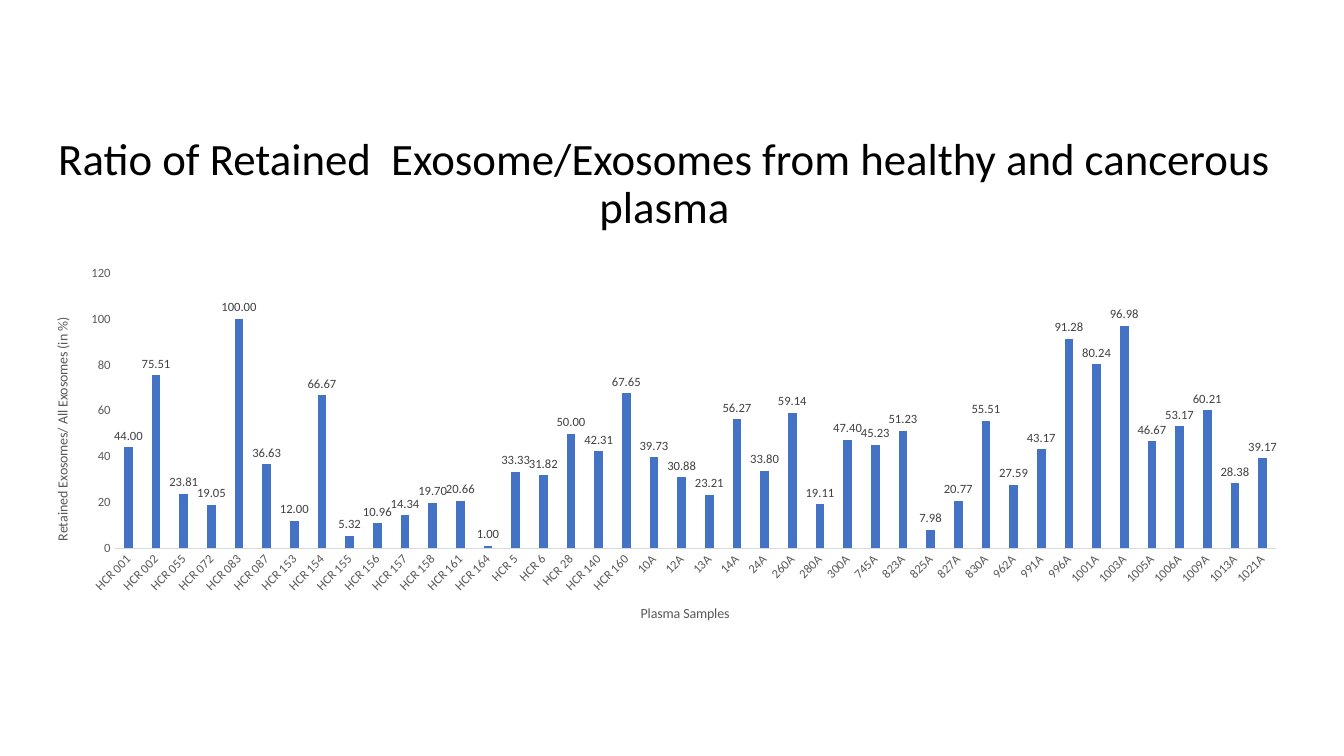
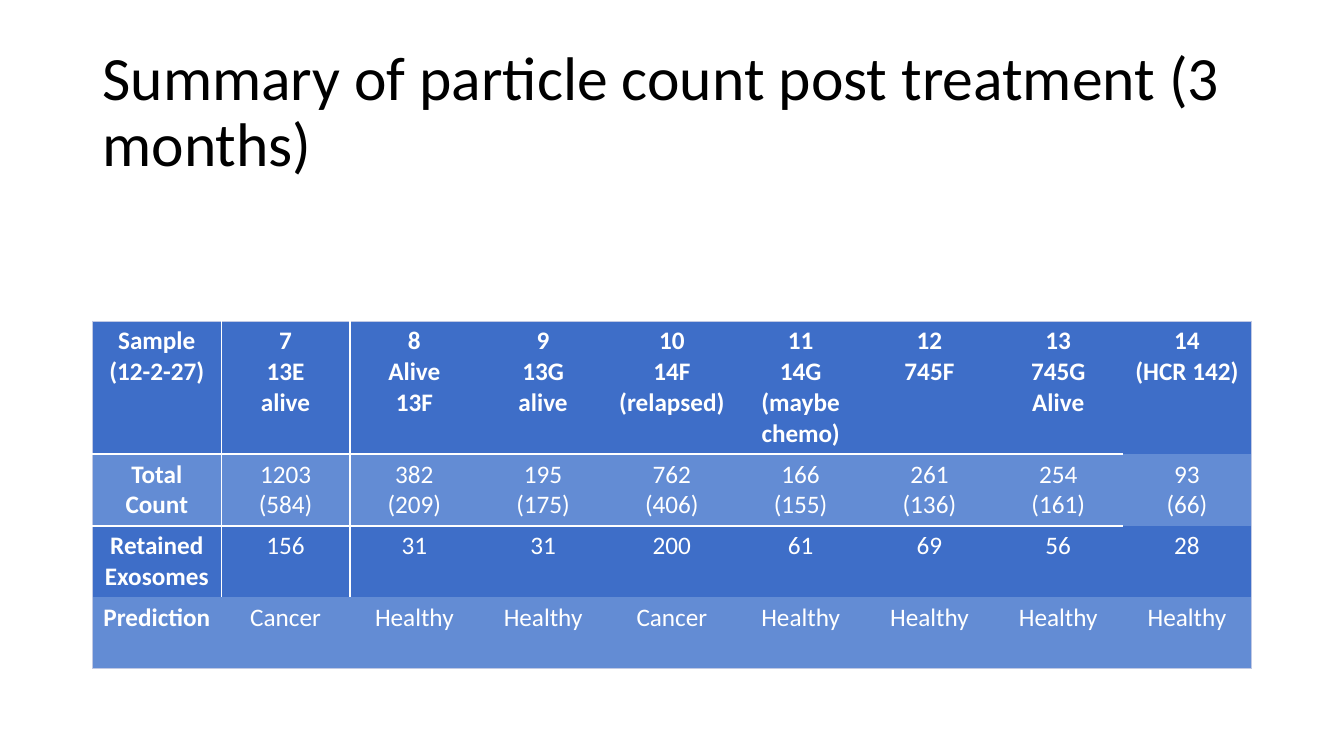
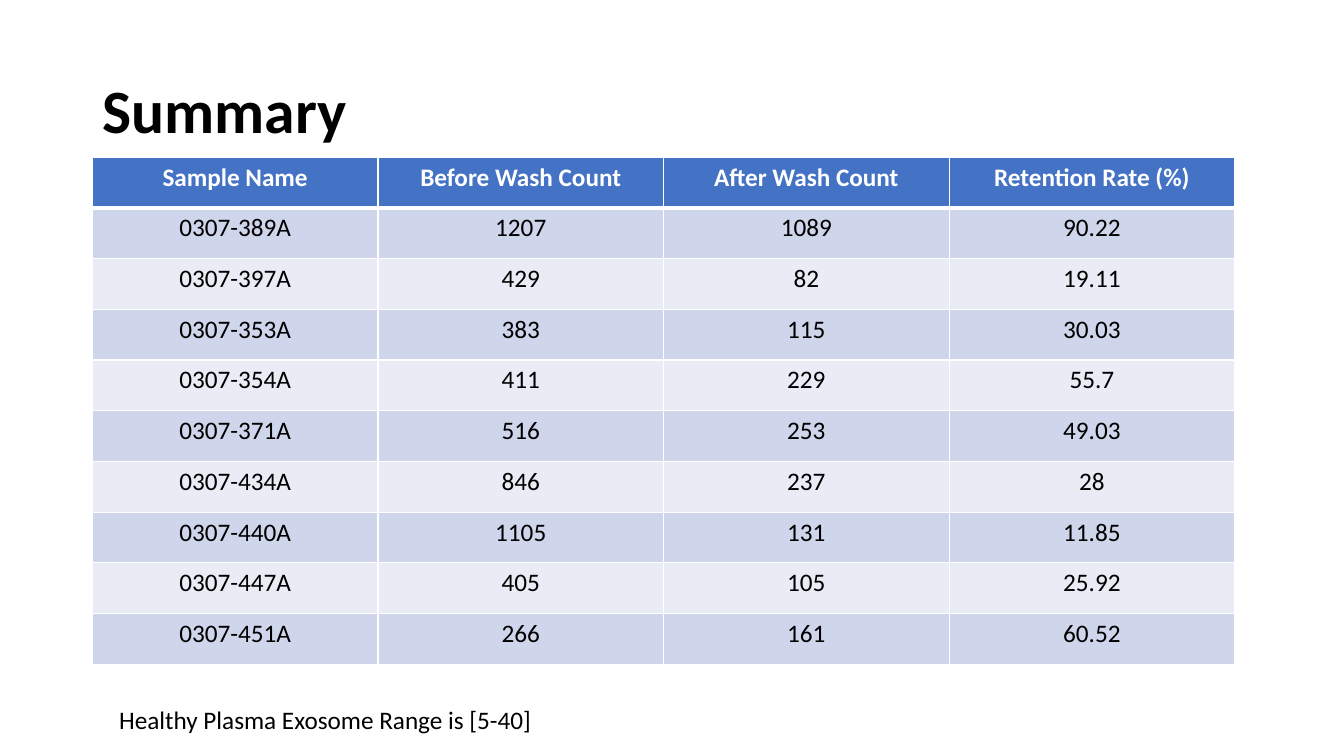
import pptx
import pptx.chart.data
import pptx.dml.color
import pptx.enum.chart
import pptx.enum.text
import pptx.oxml
import pptx.oxml.ns
import pptx.util

ALIGN = pptx.enum.text.PP_ALIGN
ANCHOR = pptx.enum.text.MSO_ANCHOR
qn = pptx.oxml.ns.qn

FONT = "Calibri"
COLORS = {
    "text": "000000", "white": "FFFFFF", "blue": "4472C4",
    "axis": "595959", "axis_line": "D9D9D9", "label": "404040",
    "row_dark": "3E6EC8", "row_light": "638CD4", "frame": "C1C9E4",
    "band_dark": "CFD5EA", "band_light": "E9EBF5",
}
COLUMNS, ROWS = 160, 90  # grid cells of 1/12 inch
NO_STYLE = "{2D5ABB26-0587-4C30-8999-92F81FD0307C}"

HEALTHY = {
    "HCR 001": 44, "HCR 002": 75.51, "HCR 055": 23.81, "HCR 072": 19.05,
    "HCR 083": 100, "HCR 087": 36.63, "HCR 153": 12, "HCR 154": 66.67,
    "HCR 155": 5.32, "HCR 156": 10.96, "HCR 157": 14.34, "HCR 158": 19.7,
    "HCR 161": 20.66, "HCR 164": 1, "HCR 5": 33.33, "HCR 6": 31.82,
    "HCR 28": 50, "HCR 140": 42.31, "HCR 160": 67.65,
}
CANCEROUS = {
    "10A": 39.73, "12A": 30.88, "13A": 23.21, "14A": 56.27, "24A": 33.8,
    "260A": 59.14, "280A": 19.11, "300A": 47.4, "745A": 45.23, "823A": 51.23,
    "825A": 7.98, "827A": 20.77, "830A": 55.51, "962A": 27.59, "991A": 43.17,
    "996A": 91.28, "1001A": 80.24, "1003A": 96.98, "1005A": 46.67,
    "1006A": 53.17, "1009A": 60.21, "1013A": 28.38, "1021A": 39.17,
}
POST_TREATMENT = [
    ["Sample\n(12-2-27)", "7\n13E\nalive", "8\nAlive\n13F", "9\n13G\nalive",
     "10\n14F (relapsed)", "11\n14G (maybe chemo)", "12\n745F",
     "13\n745G\nAlive", "14\n(HCR 142)"],
    ["Total Count", "1203\n(584)", "382\n(209)", "195\n(175)", "762\n(406)",
     "166\n(155)", "261\n(136)", "254\n(161)", "93\n(66)"],
    ["Retained Exosomes", "156", "31", "31", "200", "61", "69", "56", "28"],
    ["Prediction", "Cancer", "Healthy", "Healthy", "Cancer", "Healthy",
     "Healthy", "Healthy", "Healthy"],
]
WASH_COUNTS = [
    ["Sample Name", "Before Wash Count", "After Wash Count", "Retention Rate (%)"],
    ["0307-389A", "1207", "1089", "90.22"],
    ["0307-397A", "429", "82", "19.11"],
    ["0307-353A", "383", "115", "30.03"],
    ["0307-354A", "411", "229", "55.7"],
    ["0307-371A", "516", "253", "49.03"],
    ["0307-434A", "846", "237", "28"],
    ["0307-440A", "1105", "131", "11.85"],
    ["0307-447A", "405", "105", "25.92"],
    ["0307-451A", "266", "161", "60.52"],
]


def rgb(color):
    return pptx.dml.color.RGBColor.from_string(COLORS[color])


def style(font, size, color="text", bold=False):
    font.name, font.size, font.bold = FONT, pptx.util.Pt(size), bold
    font.color.rgb = rgb(color)


def chart_layout(parent, index, **shares):
    """Place a plot area or an axis title by shares of the chart's size."""
    for old in parent.findall(qn("c:layout")):
        parent.remove(old)
    target = '<c:layoutTarget val="inner"/>' if "w" in shares else ""
    modes = '<c:xMode val="edge"/><c:yMode val="edge"/>'
    values = "".join(f'<c:{key} val="{share}"/>' for key, share in shares.items())
    parent.insert(index, pptx.oxml.parse_xml(
        f'<c:layout {pptx.oxml.ns.nsdecls("c")}><c:manualLayout>'
        f"{target}{modes}{values}</c:manualLayout></c:layout>"))


def set_borders(cell, borders):
    """Draw borders given as {side: (color, points)}, sides in L, R, T, B order."""
    properties = cell._tc.get_or_add_tcPr()
    sides = [side for side in "LRTB" if side in borders]
    for index, side in enumerate(sides):
        color, points = borders[side]
        properties.insert(index, pptx.oxml.parse_xml(
            f'<a:ln{side} {pptx.oxml.ns.nsdecls("a")} w="{pptx.util.Pt(points)}">'
            f'<a:solidFill><a:srgbClr val="{COLORS[color]}"/></a:solidFill></a:ln{side}>'))


class Deck:
    def __init__(self):
        self.presentation = pptx.Presentation()
        self.presentation.slide_width = pptx.util.Inches(13.33)
        self.presentation.slide_height = pptx.util.Inches(7.5)
        self.slide = None

    def x(self, columns):
        return round(self.presentation.slide_width * columns / COLUMNS)

    def y(self, rows):
        return round(self.presentation.slide_height * rows / ROWS)

    def box(self, left, top, width, height):
        return self.x(left), self.y(top), self.x(width), self.y(height)

    def new_slide(self, heading, at=(11, 4.8, 138, 17.4), size=44,
                  bold=False, align=ALIGN.LEFT):
        self.slide = self.presentation.slides.add_slide(
            self.presentation.slide_layouts[5])
        title = self.slide.shapes.title
        title.left, title.top, title.width, title.height = self.box(*at)
        frame = title.text_frame
        frame.text = heading
        frame.word_wrap = True
        frame.auto_size = pptx.enum.text.MSO_AUTO_SIZE.NONE
        frame.vertical_anchor = ANCHOR.MIDDLE
        paragraph = frame.paragraphs[0]
        paragraph.alignment, paragraph.line_spacing = align, 0.9
        style(paragraph.font, size, bold=bold)

    def note(self, text, at):
        frame = self.slide.shapes.add_textbox(*self.box(*at)).text_frame
        frame.word_wrap = True
        frame.text = text
        style(frame.paragraphs[0].font, 18)

    def table(self, rows, left, top, width, heights, look):
        """look(row, column) returns fill, text colour, bold and borders."""
        table = self.slide.shapes.add_table(
            len(rows), len(rows[0]),
            *self.box(left, top, width, sum(heights))).table
        table.first_row = table.horz_banding = False
        table._tbl.tblPr.find(qn("a:tableStyleId")).text = NO_STYLE
        for column in table.columns:
            column.width = self.x(width / len(rows[0]))
        for r, (texts, height) in enumerate(zip(rows, heights)):
            table.rows[r].height = self.y(height)
            for c, text in enumerate(texts):
                fill, color, bold, borders = look(r, c)
                cell = table.cell(r, c)
                cell.text = text
                for paragraph in cell.text_frame.paragraphs:
                    paragraph.alignment = ALIGN.CENTER
                    style(paragraph.font, 18, color, bold)
                cell.fill.solid()
                cell.fill.fore_color.rgb = rgb(fill)
                set_borders(cell, borders)

    def axis_title(self, axis, text, rotation, x, y):
        frame = axis.axis_title.text_frame
        frame.text = text
        style(frame.paragraphs[0].font, 10, "axis")
        frame._txBody.bodyPr.set("rot", str(rotation * 60000))
        frame._txBody.bodyPr.set("vert", "horz")
        chart_layout(axis.axis_title._element, 1, x=x, y=y)

    def column_chart(self, values, at, category_title, value_title):
        data = pptx.chart.data.CategoryChartData()
        data.categories = list(values)
        data.add_series("Series 1", list(values.values()))
        chart = self.slide.shapes.add_chart(
            pptx.enum.chart.XL_CHART_TYPE.COLUMN_CLUSTERED,
            *self.box(*at), data).chart
        chart.has_legend = chart.has_title = False
        style(chart.font, 10)

        plot = chart.plots[0]
        plot.gap_width, plot.overlap, plot.vary_by_categories = 219, -27, False
        bars = plot.series[0].format.fill
        bars.solid()
        bars.fore_color.rgb = rgb("blue")
        plot.has_data_labels = True
        labels = plot.data_labels
        labels.show_value = True
        labels.position = pptx.enum.chart.XL_LABEL_POSITION.OUTSIDE_END
        labels.number_format, labels.number_format_is_linked = "#,##0.00", False
        style(labels.font, 9, "label")

        categories, scale = chart.category_axis, chart.value_axis
        for axis in (categories, scale):
            axis.has_major_gridlines = False
            axis.major_tick_mark = pptx.enum.chart.XL_TICK_MARK.NONE
            axis.minor_tick_mark = pptx.enum.chart.XL_TICK_MARK.NONE
            style(axis.tick_labels.font, 9, "axis")
        categories.format.line.color.rgb = rgb("axis_line")
        categories.format.line.width = pptx.util.Pt(0.75)
        categories._element.txPr.bodyPr.set("rot", str(-45 * 60000))
        scale.format.line.fill.background()
        scale.minimum_scale, scale.maximum_scale, scale.major_unit = 0, 120, 20
        self.axis_title(categories, category_title, 0, 0.48, 0.9)
        self.axis_title(scale, value_title, -90, 0.02, 0.15)
        chart_layout(chart._chartSpace.chart.plotArea, 0,
                     x=0.07, y=0.04, w=0.91, h=0.72)


def treatment_look(row, column):
    last_row, last_column = len(POST_TREATMENT) - 1, len(POST_TREATMENT[0]) - 1
    frame = ("frame", 0.5)
    borders = {}
    if row == 0:
        borders["T"] = frame
        if column < last_column:
            borders["B"] = ("white", 1.5)
    if row == 1 and column < last_column:
        borders["T"] = ("white", 1.5)
    if row == last_row:
        borders["B"] = frame
    if column == 0:
        borders["L"] = frame
    if column == last_column:
        borders["R"] = frame
    if row < last_row and column < 2:
        borders["R" if column == 0 else "L"] = ("white", 1)
    fill = "row_light" if row % 2 else "row_dark"
    return fill, "white", row == 0 or column == 0, borders


def wash_look(row, column):
    borders = {side: ("white", 1) for side in "LRTB"}
    if row < 2:
        borders["T" if row else "B"] = ("white", 3)
    if row == 0:
        return "blue", "white", True, borders
    return ("band_dark" if row % 2 else "band_light"), "text", False, borders


def main():
    deck = Deck()

    deck.new_slide(
        "Ratio of Retained  Exosome/Exosomes from healthy and cancerous plasma",
        at=(1.8, 13.3, 154.6, 17.4), size=32, align=ALIGN.CENTER)
    deck.column_chart({**HEALTHY, **CANCEROUS}, (3, 30.7, 152, 45.5),
                      "Plasma Samples", "Retained Exosomes/ All Exosomes (in %)")

    deck.new_slide("Summary of particle count post treatment (3 months)")
    deck.table(POST_TREATMENT, 11, 38.2, 138, [15.8] + [8.5] * 3, treatment_look)

    deck.new_slide("Summary", bold=True)
    deck.table(WASH_COUNTS, 11, 18.7, 136, [6.04] * len(WASH_COUNTS), wash_look)
    deck.note("Healthy Plasma Exosome Range is [5-40]", (13, 83.2, 65.8, 4.8))

    deck.presentation.save("out.pptx")


if __name__ == "__main__":
    main()
